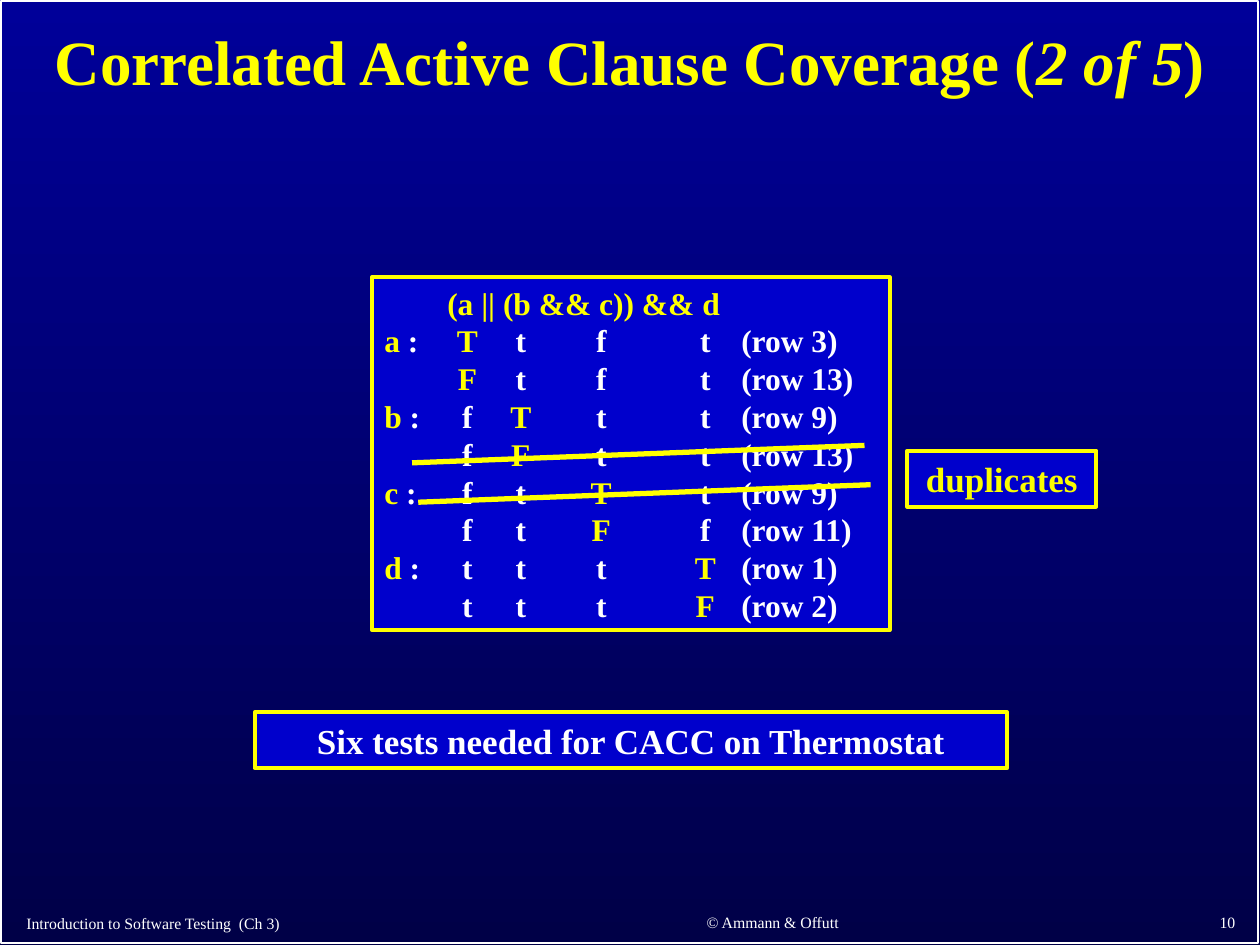
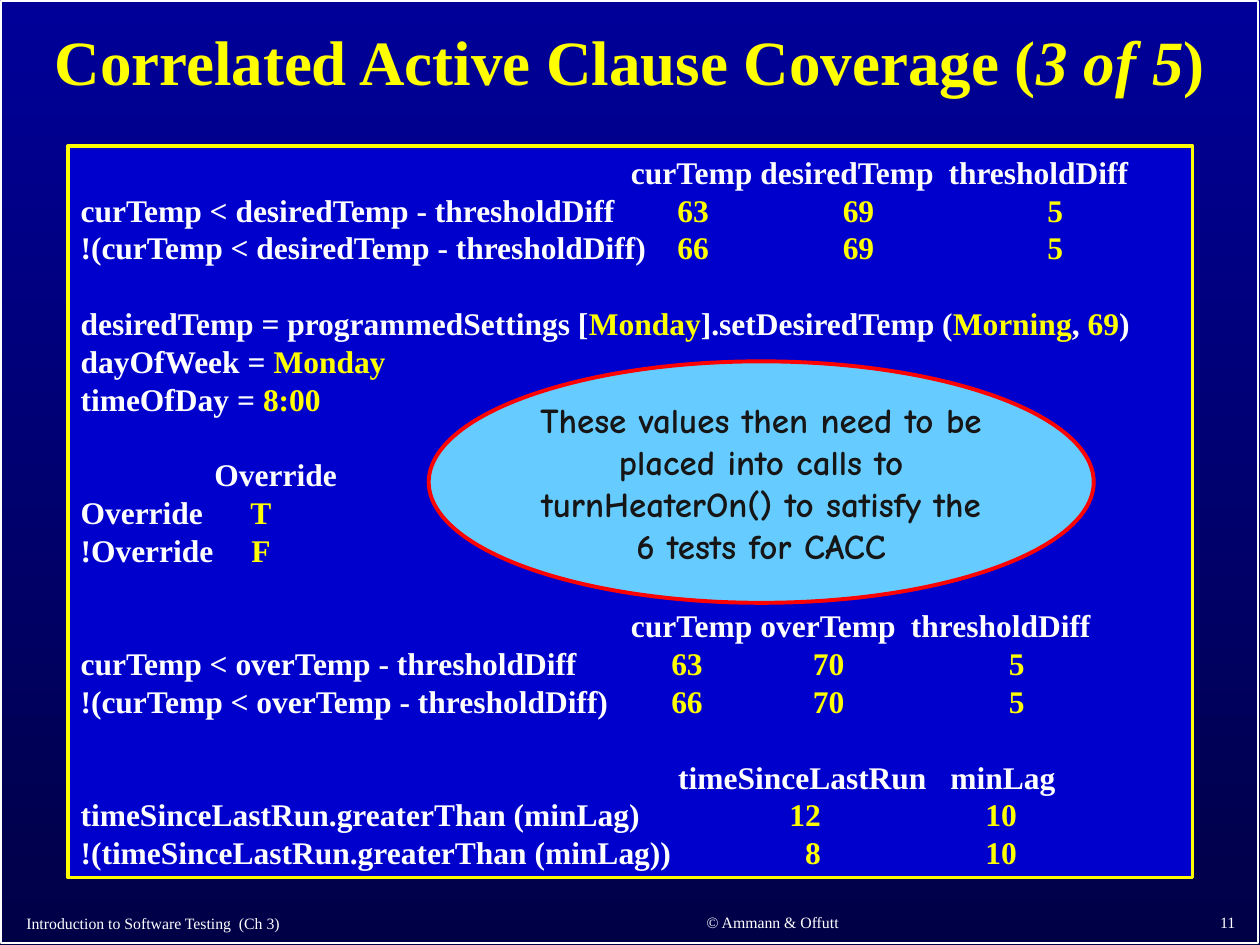
from pptx import Presentation
from pptx.dml.color import RGBColor
from pptx.enum.shapes import MSO_CONNECTOR as LINK, MSO_SHAPE as KIND
from pptx.enum.text import MSO_ANCHOR as ANCHOR, PP_ALIGN as ALIGN
from pptx.oxml.ns import qn
from pptx.util import Pt
from lxml.etree import SubElement

WHITE = RGBColor(0xFF, 0xFF, 0xFF)
YELLOW = RGBColor(0xFF, 0xFF, 0x00)
LEMON = RGBColor(0xFA, 0xFD, 0x00)
BLUE = RGBColor(0x00, 0x00, 0xCC)
SKY = RGBColor(0x66, 0xCC, 0xFF)
RED = RGBColor(0xFF, 0x00, 0x00)
INK = RGBColor(0x16, 0x16, 0x16)
TOP = RGBColor(0x00, 0x00, 0x99)
BASE = RGBColor(0x00, 0x00, 0x47)

SERIF = "Times New Roman"
COMIC = "Comic Neue"
PITCH = 21.6  # line height of the 18 pt listings

# Tab stops: (position in points, alignment)
TRUTH = [(47.5, "ctr"), (78, "ctr"), (124, "ctr"), (183.5, "ctr"), (204, "l")]

# Each row: tab stops and text; *stars* enclose the yellow parts
TESTS = [[
    ([(36, "l")], "\t*(a || (b && c)) && d*"),
    (TRUTH, "*a* :\t*T*\tt\tf\tt\t(row 3)"),
    (TRUTH, "\t*F*\tt\tf\tt\t(row 13)"),
    (TRUTH, "*b* :\tf\t*T*\tt\tt\t(row 9)"),
    (TRUTH, "\tf\t*F*\tt\tt\t(row 13)"),
    (TRUTH, "*c* :\tf\tt\t*T*\tt\t(row 9)"),
    (TRUTH, "\tf\tt\t*F*\tf\t(row 11)"),
    (TRUTH, "*d* :\tt\tt\tt\t*T*\t(row 1)"),
    (TRUTH, "\tt\tt\tt\t*F*\t(row 2)"),
]]

WANT = [(350, "ctr"), (444.5, "ctr"), (557, "ctr")]
OVER = [(346.5, "ctr"), (427.5, "ctr"), (535, "ctr")]
FLAG = [(103, "ctr")]
LAG = [(423, "r"), (535, "r")]

VALUES = [
    [
        ([(314.5, "l"), (388.5, "l"), (496, "l")],
         "\tcurTemp\tdesiredTemp\tthresholdDiff"),
        (WANT, "curTemp < desiredTemp - thresholdDiff\t*63\t69\t5*"),
        (WANT, "!(curTemp < desiredTemp - thresholdDiff)\t*66\t69\t5*"),
    ],
    [
        ([], "desiredTemp = programmedSettings [*Monday*]"
             ".setDesiredTemp (*Morning*, *69*)"),
        ([], "dayOfWeek = *Monday*"),
        ([], "timeOfDay = *8:00*"),
    ],
    [
        ([(76.5, "l")], "\tOverride"),
        (FLAG, "Override\t*T*"),
        (FLAG, "!Override\t*F*"),
    ],
    [
        ([(314.5, "l"), (388.5, "l"), (474.5, "l")],
         "\tcurTemp\toverTemp\tthresholdDiff"),
        (OVER, "curTemp < overTemp - thresholdDiff\t*63\t70\t5*"),
        (OVER, "!(curTemp < overTemp - thresholdDiff)\t*66\t70\t5*"),
    ],
    [
        ([(341.5, "l"), (497, "l")], "\ttimeSinceLastRun\tminLag"),
        (LAG, "timeSinceLastRun.greaterThan (minLag)\t*12\t10*"),
        (LAG, "!(timeSinceLastRun.greaterThan (minLag))\t*8\t10*"),
    ],
]


def add_run(para, text, size, color, bold=True, face=SERIF):
    run = para.add_run()
    run.text = text
    font = run.font
    font.name, font.size, font.bold = face, Pt(size), bold
    font.color.rgb = color
    return run


def set_tabs(para, stops):
    if stops:
        tabs = SubElement(para._p.get_or_add_pPr(), qn("a:tabLst"))
        for pos, side in stops:
            SubElement(tabs, qn("a:tab"), pos=str(Pt(pos)), algn=side)


def add_box(slide, at, fill=BLUE, edge=YELLOW, width=2.25, kind=KIND.RECTANGLE):
    box = slide.shapes.add_shape(kind, *map(Pt, at))
    box.shadow.inherit = False
    if fill is None:
        box.fill.background()
    else:
        box.fill.solid()
        box.fill.fore_color.rgb = fill
    box.line.color.rgb = edge
    box.line.width = Pt(width)
    box.text_frame.word_wrap = True
    box.text_frame.vertical_anchor = ANCHOR.MIDDLE
    return box


def add_label(box, text, color, face=SERIF):
    """Write one centred bold line of 20 pt in a box."""
    para = box.text_frame.paragraphs[0]
    para.alignment = ALIGN.CENTER
    add_run(para, text, 20, color, face=face)


def add_list(slide, at, groups):
    """Draw a box of tabbed rows, with one empty line's height between groups."""
    frame = add_box(slide, at).text_frame
    para = frame.paragraphs[0]
    for g, rows in enumerate(groups):
        for r, (stops, text) in enumerate(rows):
            if g or r:
                para = frame.add_paragraph()
            set_tabs(para, stops)
            para.alignment = ALIGN.LEFT
            para.line_spacing = Pt(PITCH)
            if g and not r:
                para.space_before = Pt(PITCH)
            for i, part in enumerate(text.split("*")):
                if part:
                    add_run(para, part, 18, YELLOW if i % 2 else WHITE)


def add_strike(slide, x, y):
    line = slide.shapes.add_connector(
        LINK.STRAIGHT, Pt(x), Pt(y), Pt(x + 258.5), Pt(y - 10))
    line.line.color.rgb = YELLOW
    line.line.width = Pt(3)
    SubElement(line.element.spPr, qn("a:effectLst"))


def add_foot(slide, at, text, align):
    frame = slide.shapes.add_textbox(*map(Pt, at)).text_frame
    frame.word_wrap = True
    frame.vertical_anchor = ANCHOR.BOTTOM
    para = frame.paragraphs[0]
    para.alignment = align
    add_run(para, text, 9, WHITE, bold=False)


def add_slide(deck, part, page):
    """Add a slide with the frame, title and footers that all slides share."""
    slide = deck.slides.add_slide(deck.slide_layouts[5])
    add_box(slide, (0.7, 0.7, 718, 538), None, WHITE, 1)
    title = slide.shapes.title
    title.left, title.top, title.width, title.height = map(Pt, (8, 6, 703.5, 62))
    title.text_frame.vertical_anchor = ANCHOR.MIDDLE
    para = title.text_frame.paragraphs[0]
    para.alignment = ALIGN.CENTER
    para.line_spacing = 0.9
    add_run(para, "Correlated Active Clause Coverage (", 36, YELLOW)
    add_run(para, f"{part} of 5", 36, YELLOW).font.italic = True
    add_run(para, ")", 36, YELLOW)
    add_foot(slide, (8, 519, 306.5, 17.5),
             "Introduction to Software Testing  (Ch 3)", ALIGN.LEFT)
    add_foot(slide, (327.5, 518, 228, 18), "© Ammann & Offutt", ALIGN.CENTER)
    add_foot(slide, (563, 518.5, 150, 17.5), str(page), ALIGN.RIGHT)
    return slide


def set_ground(deck):
    fill = deck.slide_master.background.fill
    fill.gradient()
    fill.gradient_angle = 270
    for stop, color in zip(fill.gradient_stops, (TOP, BASE)):
        stop.color.rgb = color


def main():
    deck = Presentation()
    deck.slide_width, deck.slide_height = Pt(720), Pt(540)
    set_ground(deck)

    slide = add_slide(deck, 2, 10)
    add_list(slide, (212.5, 158.5, 296, 201.5), TESTS)
    add_strike(slide, 235.5, 264.5)
    add_strike(slide, 239, 287)
    add_label(add_box(slide, (518.5, 257.5, 108, 32)), "duplicates", LEMON)
    add_label(add_box(slide, (145.5, 407, 430, 32)),
              "Six tests needed for CACC on Thermostat", WHITE)

    slide = add_slide(deck, 3, 11)
    add_list(slide, (39, 83.5, 642.5, 418), VALUES)
    oval = add_box(slide, (245, 206.5, 380, 138), SKY, RED, kind=KIND.OVAL)
    add_label(oval, "These values then need to be placed into calls to "
              "turnHeaterOn() to satisfy the 6 tests for CACC", INK, COMIC)

    deck.save("out.pptx")


if __name__ == "__main__":
    main()
